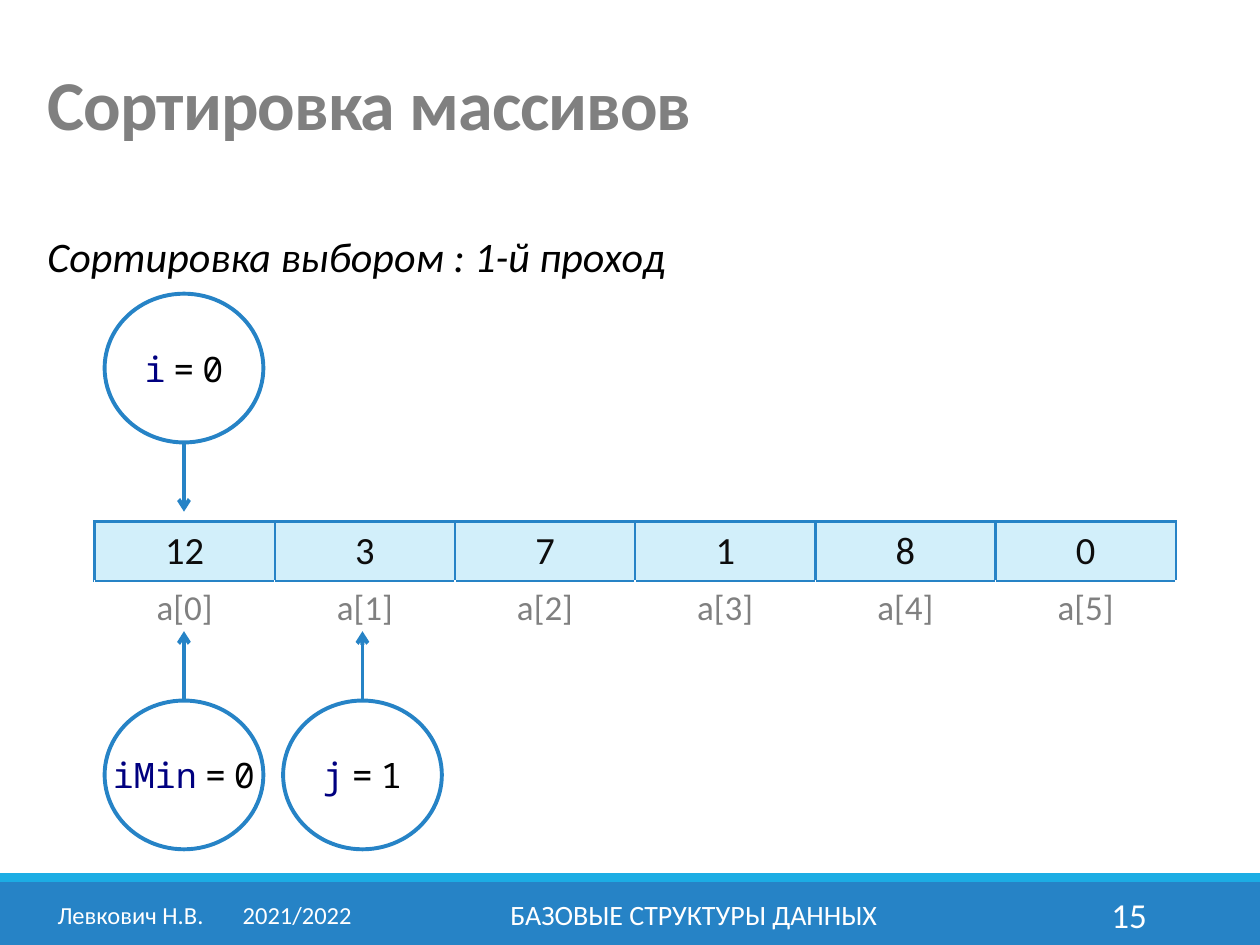
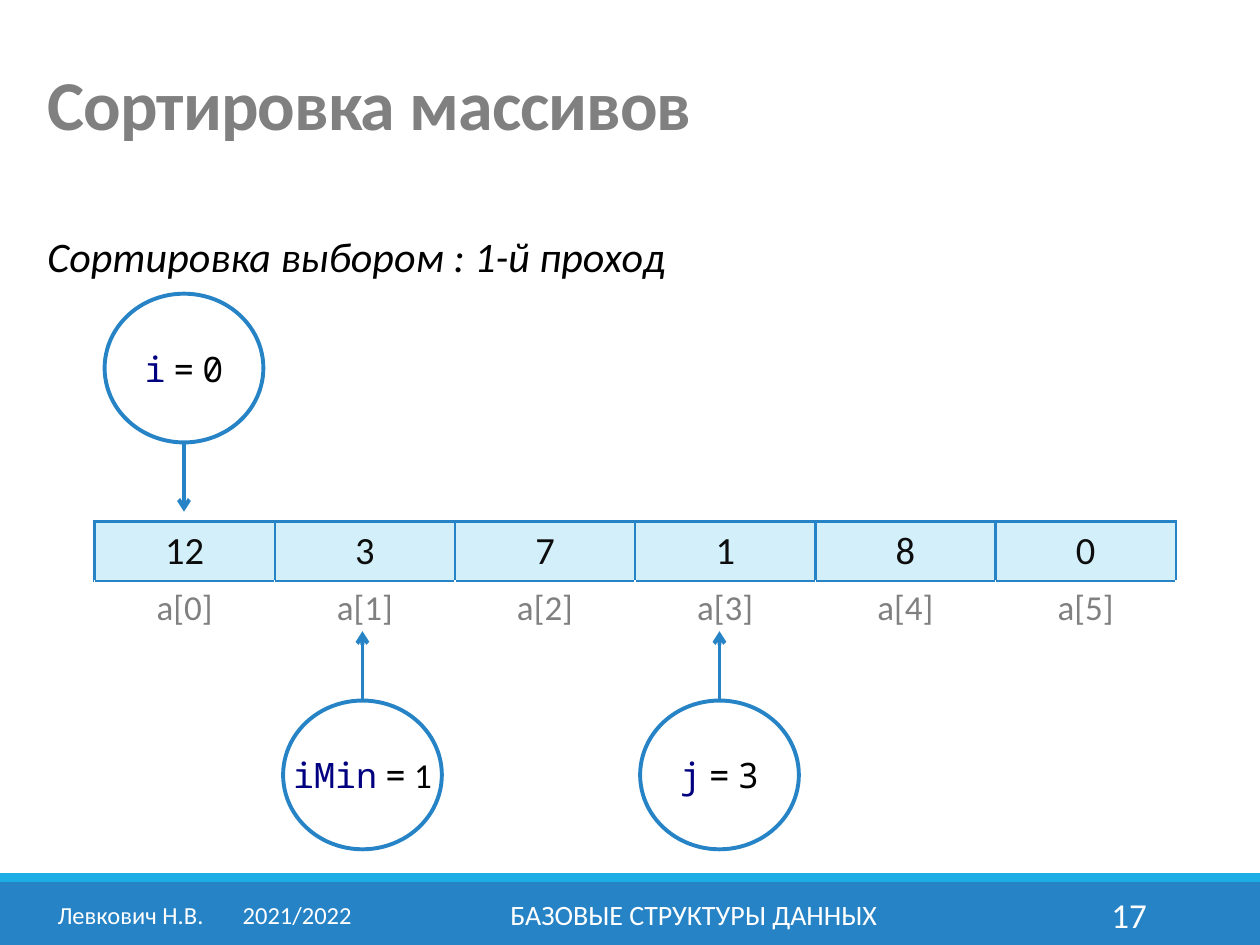
from lxml import etree
from pptx import Presentation
from pptx.dml.color import RGBColor
from pptx.enum import shapes, text
from pptx.oxml.ns import qn
from pptx.util import Pt

BLUE, SKY, PALE, WHITE = "2683C6", "1CADE4", "D2EFFA", "FFFFFF"
GREY, BLACK, INK, NAVY = "808080", "000000", "0D0D0D", "000080"
SANS, MONO = "Calibri", "Noto Sans Mono"
LEFT, CENTER, RIGHT = text.PP_ALIGN.LEFT, text.PP_ALIGN.CENTER, text.PP_ALIGN.RIGHT
MIDDLE, TOP = text.MSO_ANCHOR.MIDDLE, text.MSO_ANCHOR.TOP

TITLE_BOX = (20, 21, 680, 83)
SUBTITLE_BOX = (20, 128, 663, 36)
FOOTER_BOX = (0, 499, 720, 41)
TABLE_BOX = (54, 298, 618, 65)
VALUES = [12, 3, 7, 1, 8, 0]

CIRCLE_WIDTH, CIRCLE_HEIGHT, ARROW_LENGTH = 90.7, 85, 39.6
MARKER_LEFT, MARKER_STEP = 59.8, 102
UPPER_TOP, LOWER_TOP = 167.8, 400.3


def color(code):
    return RGBColor.from_string(code)


def add_span(para, words, size, code, font=SANS, bold=False, italic=False):
    span = para.add_run()
    span.text = words
    span.font.name, span.font.size = font, Pt(size)
    span.font.bold, span.font.italic = bold, italic
    span.font.color.rgb = color(code)
    return span


def add_label(page, box, words, size, code, align=LEFT, anchor=MIDDLE, tab=None, **style):
    """Add a one-paragraph text box and return its paragraph and run."""
    frame = page.shapes.add_textbox(*map(Pt, box)).text_frame
    frame.word_wrap, frame.vertical_anchor = True, anchor
    para = frame.paragraphs[0]
    para.alignment = align
    if tab:
        stops = etree.SubElement(para._p.get_or_add_pPr(), qn("a:tabLst"))
        etree.SubElement(stops, qn("a:tab"), pos=str(Pt(tab)), algn="l")
    return para, add_span(para, words, size, code, **style)


def add_band(page, box, code):
    band = page.shapes.add_shape(shapes.MSO_SHAPE.RECTANGLE, *map(Pt, box))
    band.shadow.inherit = False
    band.fill.solid()
    band.fill.fore_color.rgb = color(code)
    band.line.fill.background()


def add_footer(page, box, number):
    left, top, width, height = box
    stripe = 5
    add_band(page, (left, top + stripe, width, height - stripe), BLUE)
    add_band(page, (left, top, width, stripe), SKY)
    row = top + 9.3
    add_label(page, (left + 217.5, row, 358, 28.8), "БАЗОВЫЕ СТРУКТУРЫ ДАННЫХ", 16, WHITE, CENTER)
    add_label(page, (left + 584.6, row, 77.8, 28.8), str(number), 20, WHITE, RIGHT)
    add_label(page, (left + 23, row, 188, 28.8), "Левкович Н.В.\t2021/2022", 14, WHITE,
              CENTER, tab=105.8)


def add_headings(page):
    para, span = add_label(page, TITLE_BOX, "Сортировка массивов", 40, GREY, bold=True)
    para.line_spacing = 0.85
    span.font._element.set("spc", "-50")
    para, _ = add_label(page, SUBTITLE_BOX, "Сортировка выбором : 1-й проход", 24, BLACK,
                        anchor=TOP, italic=True)
    para.space_after = Pt(6)


def set_borders(cell, **sides):
    """Draw the sides L, R, T and B, each given as (colour, width)."""
    properties = cell._tc.get_or_add_tcPr()
    for side in "LRTB":
        code, width = sides[side]
        line = etree.SubElement(properties, qn("a:ln" + side), w=str(Pt(width)))
        fill = etree.SubElement(line, qn("a:solidFill"))
        etree.SubElement(fill, qn("a:srgbClr"), val=code)


def fill_cell(cell, words, size, code, background):
    cell.fill.solid()
    cell.fill.fore_color.rgb = color(background)
    para = cell.text_frame.paragraphs[0]
    para.alignment = CENTER
    add_span(para, words, size, code)


def add_array(page, box, values):
    """Draw the array values over their index labels."""
    left, top, width, height = box
    table = page.shapes.add_table(2, len(values), *map(Pt, box)).table
    table.first_row = table.horz_banding = False
    table.rows[0].height, table.rows[1].height = Pt(34), Pt(height - 34)
    edge, blank = (BLUE, 1.5), (WHITE, 1)
    for index, value in enumerate(values):
        table.columns[index].width = Pt(width / len(values))
        item, label = table.cell(0, index), table.cell(1, index)
        set_borders(item, L=edge, R=edge, T=edge, B=edge)
        fill_cell(item, str(value), 22, INK, PALE)
        set_borders(label, L=blank, R=blank, T=edge, B=blank)
        fill_cell(label, f"a[{index}]", 20, GREY, WHITE)
        label.vertical_anchor = MIDDLE


def add_arrow(page, x, start, end):
    arrow = page.shapes.add_connector(shapes.MSO_CONNECTOR.STRAIGHT,
                                      Pt(x), Pt(start), Pt(x), Pt(end))
    arrow.line.color.rgb = color(BLUE)
    arrow.line.width = Pt(2.25)
    etree.SubElement(arrow.line._get_or_add_ln(), qn("a:tailEnd"), type="arrow")
    etree.SubElement(arrow._element.spPr, qn("a:effectLst"))


def add_marker(page, variable, index, above=False, digit_font=MONO):
    """Point a circled variable at the array column that it indexes."""
    left = MARKER_LEFT + index * MARKER_STEP
    top = UPPER_TOP if above else LOWER_TOP
    start = top + CIRCLE_HEIGHT if above else top
    end = start + ARROW_LENGTH if above else start - ARROW_LENGTH
    add_arrow(page, left + CIRCLE_WIDTH / 2, start, end)

    circle = page.shapes.add_shape(shapes.MSO_SHAPE.OVAL, Pt(left), Pt(top),
                                   Pt(CIRCLE_WIDTH), Pt(CIRCLE_HEIGHT))
    circle.shadow.inherit = False
    circle.fill.background()
    circle.line.color.rgb = color(BLUE)
    circle.line.width = Pt(2.25)
    frame = circle.text_frame
    frame.margin_left = frame.margin_right = frame.margin_top = frame.margin_bottom = 0
    frame.word_wrap, frame.vertical_anchor = False, MIDDLE
    para = frame.paragraphs[0]
    para.alignment = CENTER
    add_span(para, variable, 20, NAVY, MONO)
    for words, font in ((" ", SANS), ("=", MONO), (" ", SANS), (str(index), digit_font)):
        add_span(para, words, 20, BLACK, font)


def add_pass_slide(deck, number, minimum, current, minimum_font=MONO):
    page = deck.slides.add_slide(deck.slide_layouts[6])
    add_footer(page, FOOTER_BOX, number)
    add_headings(page)
    add_array(page, TABLE_BOX, VALUES)
    add_marker(page, "i", 0, above=True)
    add_marker(page, "j", current)
    add_marker(page, "iMin", minimum, digit_font=minimum_font)


def main():
    deck = Presentation()
    deck.slide_width, deck.slide_height = Pt(720), Pt(540)
    add_pass_slide(deck, 15, minimum=0, current=1)
    add_pass_slide(deck, 17, minimum=1, current=3, minimum_font=SANS)
    deck.save("out.pptx")


if __name__ == "__main__":
    main()
